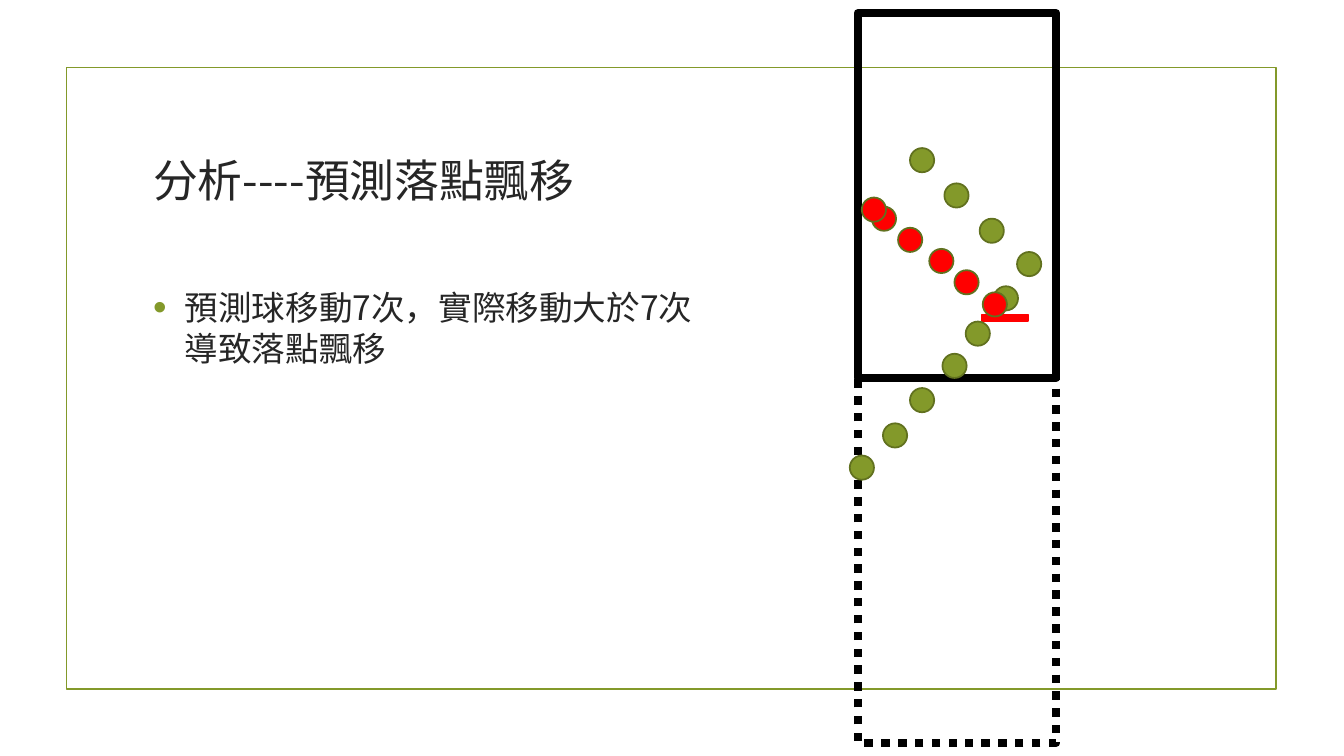
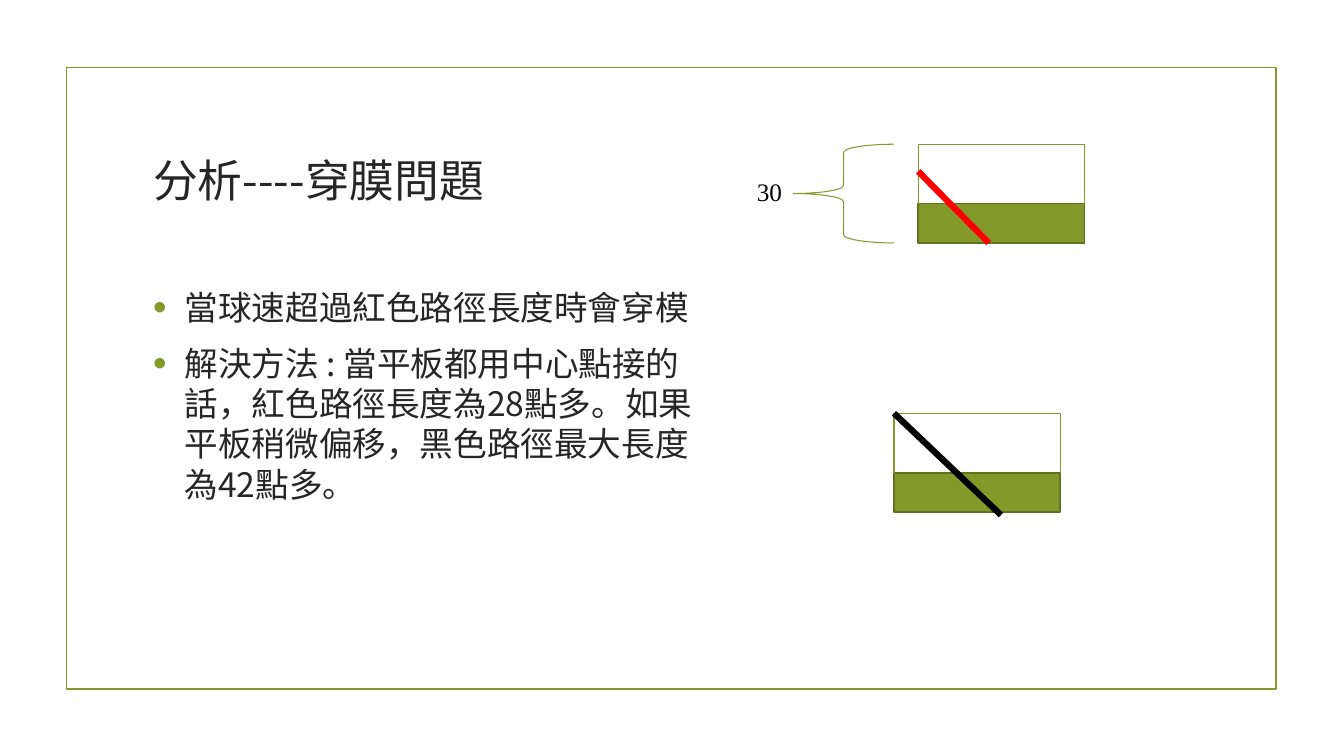
from lxml import etree
from pptx import Presentation
from pptx import util as u
from pptx.dml.color import RGBColor
from pptx.enum import dml, shapes, text
from pptx.oxml import ns

OLIVE = RGBColor(0x83, 0x99, 0x2A)
DARK_OLIVE = RGBColor(0x61, 0x71, 0x1F)
RED = RGBColor(0xFF, 0x00, 0x00)
BLACK = RGBColor(0x00, 0x00, 0x00)
INK = RGBColor(0x26, 0x26, 0x26)
CJK_FONT = "Noto Sans CJK TC"

BALL_SIZE = 17.3
COURT_LEFT, COURT_TOP, COURT_WIDTH, COURT_HEIGHT = 612.7, 9.4, 141.8, 260.6
BOARD_WIDTH, BOARD_HEIGHT, BOARD_RISE = 118.8, 28.1, 42.4

ACTUAL_BALLS = [
    (650, 105.8), (674.6, 131), (699.8, 156.2), (726.5, 180), (709.9, 204.5),
    (689.8, 229.7), (673.2, 252.7), (650, 277.2), (630.7, 302.4), (607, 325.4),
]
PREDICTED_BALLS = [
    (702, 208.8), (681.8, 193), (663.8, 177.8),
    (641.5, 162.7), (622.8, 147.6), (615.6, 141.1),
]


def place(item, left, top, width, height):
    item.left, item.top = u.Pt(left), u.Pt(top)
    item.width, item.height = u.Pt(width), u.Pt(height)


def write(paragraph, words, size, color=INK, font=CJK_FONT):
    run = paragraph.add_run()
    run.text = words
    run.font.size = u.Pt(size)
    run.font.name = font
    run.font.color.rgb = color
    properties = run.font._element
    latin = properties.find(ns.qn("a:latin"))
    east_asian = etree.Element(ns.qn("a:ea"), typeface=font)
    latin.addnext(east_asian)


def add_bullet(paragraph):
    properties = paragraph._p.get_or_add_pPr()
    properties.set("marL", str(u.Pt(22.5)))
    properties.set("indent", str(u.Pt(-22.5)))
    color = etree.SubElement(properties, ns.qn("a:buClr"))
    etree.SubElement(color, ns.qn("a:srgbClr"), val=str(OLIVE))
    etree.SubElement(properties, ns.qn("a:buSzPct"), val="115000")
    etree.SubElement(properties, ns.qn("a:buFont"), typeface="Arial")
    etree.SubElement(properties, ns.qn("a:buChar"), char="•")


def add_figure(slide, kind, box, fill=None, line=DARK_OLIVE, weight=1.25, dash=None):
    figure = slide.shapes.add_shape(kind, *map(u.Pt, box))
    figure.shadow.inherit = False
    if fill is None:
        figure.fill.background()
    else:
        figure.fill.solid()
        figure.fill.fore_color.rgb = fill
    figure.line.color.rgb = line
    figure.line.width = u.Pt(weight)
    if dash:
        figure.line.dash_style = dash
    return figure


def add_line(slide, start, end, color=OLIVE, weight=0.75):
    line = slide.shapes.add_connector(
        shapes.MSO_CONNECTOR.STRAIGHT, *map(u.Pt, (*start, *end)))
    line.line.color.rgb = color
    line.line.width = u.Pt(weight)
    etree.SubElement(line._element.spPr, ns.qn("a:effectLst"))


def prepare_layout(deck):
    layout = deck.slide_layouts[1]
    place(layout.placeholders[0], 102.2, 77, 756, 103)
    place(layout.placeholders[1], 102.2, 201.6, 411.8, 261.4)
    return layout


def add_slide(deck, layout, heading, points):
    slide = deck.slides.add_slide(layout)
    title = slide.shapes.title.text_frame
    title.vertical_anchor = text.MSO_ANCHOR.MIDDLE
    title.paragraphs[0].alignment = text.PP_ALIGN.LEFT
    write(title.paragraphs[0], heading, size=32)

    body = slide.placeholders[1].text_frame
    body.auto_size = text.MSO_AUTO_SIZE.NONE
    for index, point in enumerate(points):
        paragraph = body.add_paragraph() if index else body.paragraphs[0]
        paragraph.line_spacing = u.Pt(28.8)
        paragraph.space_before = u.Pt(4.8)
        paragraph.space_after = u.Pt(6)
        add_bullet(paragraph)
        write(paragraph, point, size=24)
    return slide


def add_frame(slide, layout):
    frame = add_figure(slide, shapes.MSO_SHAPE.RECTANGLE,
                       (47.5, 48.2, 864, 444.2), line=OLIVE)
    layout.shapes.element.insert(2, frame.element)


def add_balls(slide, corners, color):
    for left, top in corners:
        add_figure(slide, shapes.MSO_SHAPE.OVAL,
                   (left, top, BALL_SIZE, BALL_SIZE), fill=color)


def add_court(slide):
    rectangle = shapes.MSO_SHAPE.RECTANGLE
    add_figure(slide, rectangle, (COURT_LEFT, COURT_TOP, COURT_WIDTH, COURT_HEIGHT),
               line=BLACK, weight=6)
    add_figure(slide, rectangle, (701.3, 224.6, 33.1, 5), fill=RED, line=RED)
    add_figure(slide, rectangle,
               (COURT_LEFT, COURT_TOP + COURT_HEIGHT, COURT_WIDTH, COURT_HEIGHT),
               line=BLACK, weight=6, dash=dml.MSO_LINE.ROUND_DOT)


def add_board(slide, left, top):
    right, ceiling = left + BOARD_WIDTH, top - BOARD_RISE
    add_figure(slide, shapes.MSO_SHAPE.RECTANGLE,
               (left, top, BOARD_WIDTH, BOARD_HEIGHT), fill=OLIVE)
    for side in (left, right):
        add_line(slide, (side, top), (side, ceiling))
    add_line(slide, (right, ceiling), (left, ceiling))


def add_height_label(slide):
    add_figure(slide, shapes.MSO_SHAPE.LEFT_BRACE, (566.6, 103, 72, 70.5),
               line=OLIVE, weight=0.75)
    label = slide.shapes.add_textbox(*map(u.Pt, (533.5, 122.4, 53.3, 28.8)))
    label.text_frame.word_wrap = True
    write(label.text_frame.paragraphs[0], "30", size=18, color=BLACK,
          font="Times New Roman")


def main():
    deck = Presentation()
    deck.slide_width, deck.slide_height = u.Pt(960), u.Pt(540)
    layout = prepare_layout(deck)

    drift = add_slide(deck, layout, "分析----預測落點飄移",
                      ["預測球移動7次，實際移動大於7次導致落點飄移"])
    add_frame(drift, layout)
    add_court(drift)
    add_balls(drift, ACTUAL_BALLS, OLIVE)
    add_balls(drift, PREDICTED_BALLS, RED)

    tunnelling = add_slide(deck, layout, "分析----穿膜問題", [
        "當球速超過紅色路徑長度時會穿模",
        "解決方法 : 當平板都用中心點接的話，紅色路徑長度為28點多。"
        "如果平板稍微偏移，黑色路徑最大長度為42點多。",
    ])
    add_board(tunnelling, 655.9, 145.4)
    add_height_label(tunnelling)
    add_line(tunnelling, (655.9, 122.4), (706.3, 173.5), color=RED, weight=4.5)
    add_board(tunnelling, 638.6, 337.6)
    add_line(tunnelling, (638.6, 295.2), (715, 367.9), color=BLACK, weight=4.5)

    deck.save("out.pptx")


if __name__ == "__main__":
    main()
